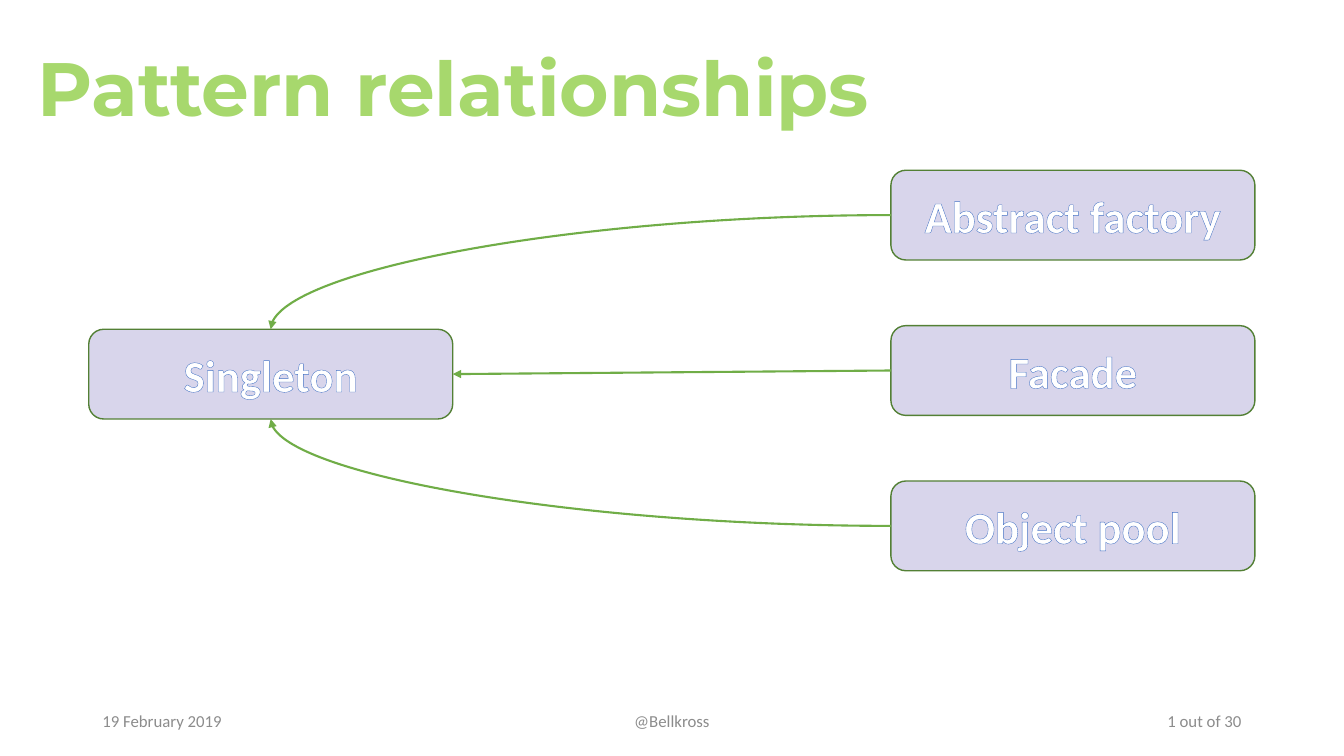
from dataclasses import dataclass

from lxml.etree import SubElement
from pptx import Presentation
from pptx.dml.color import RGBColor
from pptx.enum.shapes import MSO_CONNECTOR, MSO_SHAPE
from pptx.enum.text import MSO_ANCHOR, MSO_AUTO_SIZE, PP_ALIGN
from pptx.oxml.ns import qn
from pptx.shapes.autoshape import Shape
from pptx.slide import Slide
from pptx.text.text import Font, TextFrame
from pptx.util import Pt

TITLE_GREEN = RGBColor(0xA7, 0xD8, 0x6D)
LAVENDER = RGBColor(0xD8, 0xD5, 0xEB)
BORDER_GREEN = RGBColor(0x53, 0x80, 0x35)
ARROW_GREEN = RGBColor(0x70, 0xAD, 0x47)
OUTLINE_BLUE = RGBColor(0x44, 0x72, 0xC4)
WHITE = RGBColor(0xFF, 0xFF, 0xFF)
FOOTER_GREY = RGBColor(0x8C, 0x8C, 0x8C)

BOX_WIDTH, BOX_HEIGHT = 260, 64.1
USERS_LEFT, USERS_TOP, USERS_STEP = 636.4, 121.6, 111
FOOTER_TOP, FOOTER_HEIGHT = 500.5, 28.8
# Connection sites of a rounded rectangle
TOP, LEFT, BOTTOM, RIGHT = range(4)


@dataclass(frozen=True)
class Pattern:
    name: str
    left: float
    top: float


@dataclass(frozen=True)
class Relationship:
    user: Pattern
    target_site: int


@dataclass(frozen=True)
class FooterItem:
    text: str
    left: float
    width: float
    alignment: PP_ALIGN


SINGLETON = Pattern("Singleton", 63.4, 235.2)
USERS = [
    Pattern(name, USERS_LEFT, USERS_TOP + row * USERS_STEP)
    for row, name in enumerate(["Abstract factory", "Facade", "Object pool"])
]
RELATIONSHIPS = [
    Relationship(user, site) for user, site in zip(USERS, (TOP, RIGHT, BOTTOM))
]
FOOTER = [
    FooterItem("19 February 2019", 66, 216, PP_ALIGN.LEFT),
    FooterItem("@Bellkross", 318, 324, PP_ALIGN.CENTER),
    FooterItem("1 out of 30", 678, 216, PP_ALIGN.RIGHT),
]


def write(frame: TextFrame, text: str, typeface: str, size: float,
          color: RGBColor, alignment: PP_ALIGN, bold: bool = False) -> Font:
    """Fill the frame with one formatted paragraph and return its font."""
    frame.text = text
    frame.word_wrap = True
    frame.auto_size = MSO_AUTO_SIZE.NONE
    frame.vertical_anchor = MSO_ANCHOR.MIDDLE
    paragraph = frame.paragraphs[0]
    paragraph.alignment = alignment
    font = paragraph.runs[0].font
    font.name, font.size, font.bold = typeface, Pt(size), bold
    font.color.rgb = color
    return font


def outline_letters(font: Font, color: RGBColor, width: float) -> None:
    properties = font._element
    outline = SubElement(properties, qn("a:ln"), w=str(Pt(width)))
    fill = SubElement(outline, qn("a:solidFill"))
    SubElement(fill, qn("a:srgbClr"), val=str(color))
    properties.insert(0, outline)


def add_title(slide: Slide, text: str) -> None:
    title = slide.shapes.title
    title.left, title.top, title.width, title.height = (
        Pt(19.4), Pt(13.7), Pt(828), Pt(104.4))
    write(title.text_frame, text, "Montserrat", 54, TITLE_GREEN,
          PP_ALIGN.LEFT, bold=True)
    title.text_frame.paragraphs[0].line_spacing = 0.9


def add_pattern(slide: Slide, pattern: Pattern) -> Shape:
    box = slide.shapes.add_shape(
        MSO_SHAPE.ROUNDED_RECTANGLE, Pt(pattern.left), Pt(pattern.top),
        Pt(BOX_WIDTH), Pt(BOX_HEIGHT))
    box.shadow.inherit = False
    box.fill.solid()
    box.fill.fore_color.rgb = LAVENDER
    box.line.color.rgb = BORDER_GREEN
    box.line.width = Pt(1)
    font = write(box.text_frame, pattern.name, "Calibri", 32, WHITE,
                 PP_ALIGN.CENTER, bold=True)
    outline_letters(font, OUTLINE_BLUE, 0.8)
    return box


def add_arrow(slide: Slide, user: Shape, target: Shape, site: int) -> None:
    """Point from the user's left side to a site of the target."""
    straight = site == RIGHT
    kind = MSO_CONNECTOR.STRAIGHT if straight else MSO_CONNECTOR.CURVE
    arrow = slide.shapes.add_connector(kind, 0, 0, 0, 0)
    arrow.begin_connect(user, LEFT)
    arrow.end_connect(target, site)
    arrow.line.color.rgb = ARROW_GREEN
    arrow.line.width = Pt(1.5)
    properties = arrow._element.spPr
    if not straight:
        properties.find(qn("a:prstGeom")).set("prst", "curvedConnector2")
    SubElement(properties.find(qn("a:ln")), qn("a:tailEnd"), type="triangle")
    SubElement(properties, qn("a:effectLst"))


def add_footer_item(slide: Slide, item: FooterItem) -> None:
    box = slide.shapes.add_textbox(
        Pt(item.left), Pt(FOOTER_TOP), Pt(item.width), Pt(FOOTER_HEIGHT))
    write(box.text_frame, item.text, "Calibri", 12, FOOTER_GREY, item.alignment)


def main() -> None:
    deck = Presentation()
    deck.slide_width, deck.slide_height = Pt(960), Pt(540)
    slide = deck.slides.add_slide(deck.slide_layouts.get_by_name("Title Only"))
    add_title(slide, "Pattern relationships")
    singleton = add_pattern(slide, SINGLETON)
    for relationship in RELATIONSHIPS:
        user = add_pattern(slide, relationship.user)
        add_arrow(slide, user, singleton, relationship.target_site)
    for item in FOOTER:
        add_footer_item(slide, item)
    deck.save("out.pptx")


if __name__ == "__main__":
    main()
